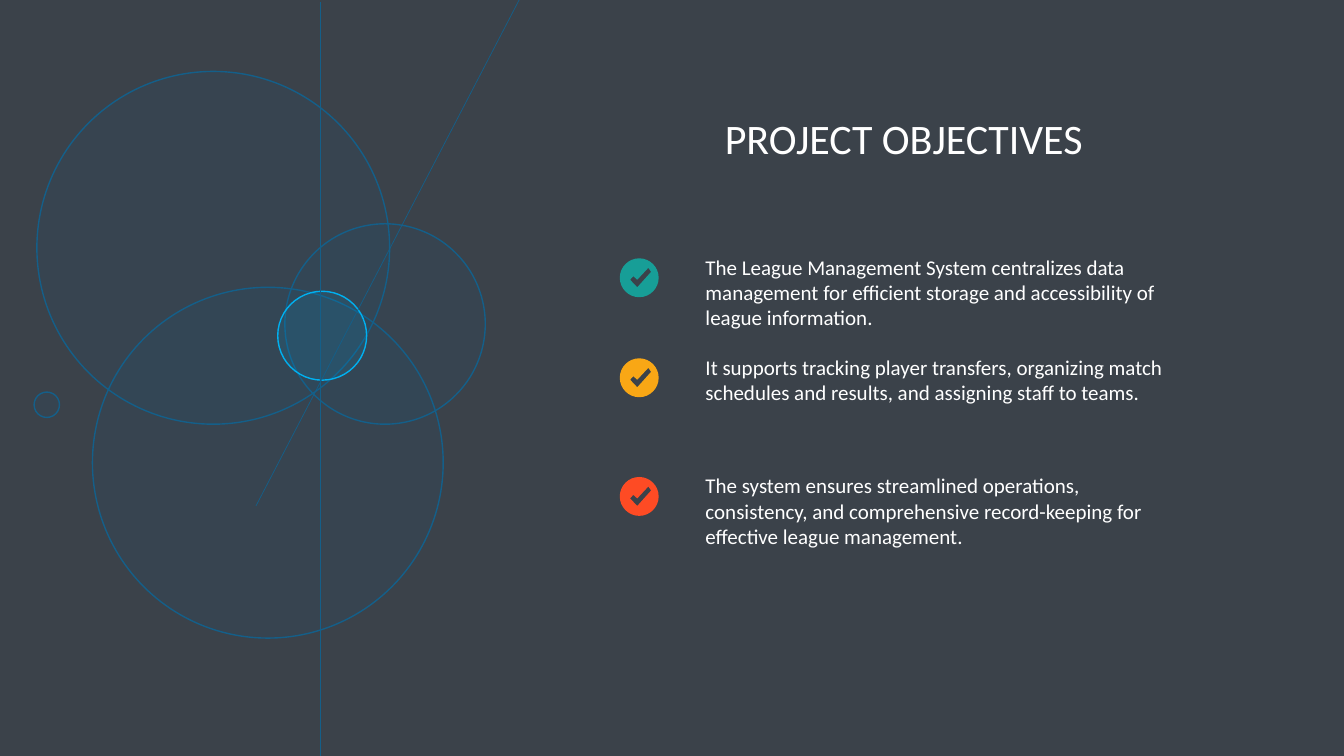
from dataclasses import dataclass

from lxml import etree
from pptx import Presentation
from pptx.dml.color import RGBColor
from pptx.enum.shapes import MSO_CONNECTOR, MSO_SHAPE
from pptx.enum.text import MSO_ANCHOR, PP_ALIGN
from pptx.oxml.ns import qn
from pptx.slide import Slide
from pptx.util import Cm, Pt

OVAL = MSO_SHAPE.OVAL
STRAIGHT = MSO_CONNECTOR.STRAIGHT
TOP, MIDDLE = MSO_ANCHOR.TOP, MSO_ANCHOR.MIDDLE
LEFT, CENTER = PP_ALIGN.LEFT, PP_ALIGN.CENTER

FONT = "Calibri"
BACKGROUND, WHITE = "3B424A", "FFFFFF"
DEEP_BLUE, BRIGHT_BLUE = "145F89", "00B0F0"
CIRCLE_OPACITY = 10

TEXT_LEFT = 17.53
BADGE_X, BADGE_DROP, BADGE_RADIUS = 16.11, 0.72, 0.49
# Unit directions from the badge centre: top, left, bottom, right, top
RIM = [(0, -1), (-1, 0), (0, 1), (1, 0), (0, -1)]
ARC_HANDLE = 0.55  # handle length of a quarter-circle Bézier, per radius
# Check mark corners, in cm from the centre of its badge
CHECK_MARK = [(-0.05, 0.24), (-0.23, 0.05), (-0.15, -0.04),
              (-0.05, 0.05), (0.23, -0.25), (0.3, -0.15)]


@dataclass
class Circle:
    left: float
    top: float
    diameter: float
    color: str = DEEP_BLUE


@dataclass
class Ray:
    x1: float
    y1: float
    x2: float
    y2: float


@dataclass
class Objective:
    top: float
    width: float
    badge_color: str
    text: str


CIRCLES = [
    Circle(0.93, 1.8, 8.89),
    Circle(7.18, 5.64, 5.05),
    Circle(2.33, 7.24, 8.84),
    Circle(7, 7.34, 2.24, BRIGHT_BLUE),
    Circle(0.86, 9.88, 0.64),
]
RAYS = [Ray(8.08, 0.05, 8.08, 19.1), Ray(13.28, -0.38, 6.45, 12.75)]
OBJECTIVES = [
    Objective(6.28, 13.3, "179E97",
              "The League Management System centralizes data management for "
              "efficient storage and accessibility of league information."),
    Objective(8.8, 12.02, "F9A715",
              "It supports tracking player transfers, organizing match "
              "schedules and results, and assigning staff to teams."),
    Objective(11.79, 12.02, "FE4B24",
              "The system ensures streamlined operations, consistency, and "
              "comprehensive record-keeping for effective league management."),
]


def rgb(color: str) -> RGBColor:
    return RGBColor.from_string(color)


def draw_circle(slide: Slide, circle: Circle) -> None:
    size = Cm(circle.diameter)
    oval = slide.shapes.add_shape(OVAL, Cm(circle.left), Cm(circle.top), size, size)
    oval.shadow.inherit = False
    oval.fill.solid()
    oval.fill.fore_color.rgb = rgb(circle.color)
    fill_color = oval._element.spPr.find(f"{qn('a:solidFill')}/{qn('a:srgbClr')}")
    etree.SubElement(fill_color, qn("a:alpha"), val=str(CIRCLE_OPACITY * 1000))
    oval.line.color.rgb = rgb(circle.color)
    oval.line.width = Pt(1)


def draw_ray(slide: Slide, ray: Ray) -> None:
    connector = slide.shapes.add_connector(
        STRAIGHT, Cm(ray.x1), Cm(ray.y1), Cm(ray.x2), Cm(ray.y2))
    connector.line.color.rgb = rgb(DEEP_BLUE)
    connector.line.width = Pt(0.5)
    etree.SubElement(connector._element.spPr, qn("a:effectLst"))


def write(shape, text: str, size: float, anchor=TOP, align=LEFT) -> None:
    frame = shape.text_frame
    frame.word_wrap = True
    frame.vertical_anchor = anchor
    frame.text = text
    paragraph = frame.paragraphs[0]
    paragraph.alignment = align
    font = paragraph.runs[0].font
    font.name, font.size = FONT, Pt(size)
    font.color.rgb = rgb(WHITE)


def round_rim(badge) -> None:
    """Turn the four straight rim segments into quarter circles."""
    radius = Cm(BADGE_RADIUS)
    segments = list(badge._element.iter(qn("a:lnTo")))
    for segment, (x1, y1), (x2, y2) in zip(segments, RIM, RIM[1:]):
        curve = etree.Element(qn("a:cubicBezTo"))
        for x, y in ((x1 + ARC_HANDLE * x2, y1 + ARC_HANDLE * y2),
                     (x2 + ARC_HANDLE * x1, y2 + ARC_HANDLE * y1),
                     (x2, y2)):
            etree.SubElement(curve, qn("a:pt"), x=str(round(radius * (1 + x))),
                             y=str(round(radius * (1 + y))))
        segment.getparent().replace(segment, curve)


def draw_badge(slide: Slide, center_y: float, color: str) -> None:
    """Draw a disc with the check mark cut out of it."""
    corners = [(BADGE_RADIUS * x, BADGE_RADIUS * y) for x, y in RIM]
    rim, check = ([(Cm(BADGE_X + x), Cm(center_y + y)) for x, y in outline]
                  for outline in (corners, CHECK_MARK))
    builder = slide.shapes.build_freeform(*rim[0])
    builder.add_line_segments(rim[1:])
    builder.move_to(*check[0])
    builder.add_line_segments(check[1:])
    badge = builder.convert_to_shape()
    round_rim(badge)
    badge.shadow.inherit = False
    badge.fill.solid()
    badge.fill.fore_color.rgb = rgb(color)
    badge.line.fill.background()


def draw_description(slide: Slide, objective: Objective) -> None:
    description = slide.shapes.add_textbox(
        Cm(TEXT_LEFT), Cm(objective.top), Cm(objective.width), Cm(2.18))
    write(description, objective.text, 15)


def main() -> None:
    presentation = Presentation()
    presentation.slide_width, presentation.slide_height = Cm(33.87), Cm(19.05)
    slide = presentation.slides.add_slide(presentation.slide_layouts[5])
    slide.background.fill.solid()
    slide.background.fill.fore_color.rgb = rgb(BACKGROUND)

    for circle in CIRCLES:
        draw_circle(slide, circle)
    for ray in RAYS:
        draw_ray(slide, ray)

    heading = slide.shapes.title
    heading.left, heading.top = Cm(14.31), Cm(2.84)
    heading.width, heading.height = Cm(16.94), Cm(1.4)
    write(heading, "PROJECT OBJECTIVES", 30, MIDDLE, CENTER)
    heading.text_frame.paragraphs[0].line_spacing = 0.9

    for objective in OBJECTIVES:
        draw_badge(slide, objective.top + BADGE_DROP, objective.badge_color)
        draw_description(slide, objective)
    presentation.save("out.pptx")


if __name__ == "__main__":
    main()
